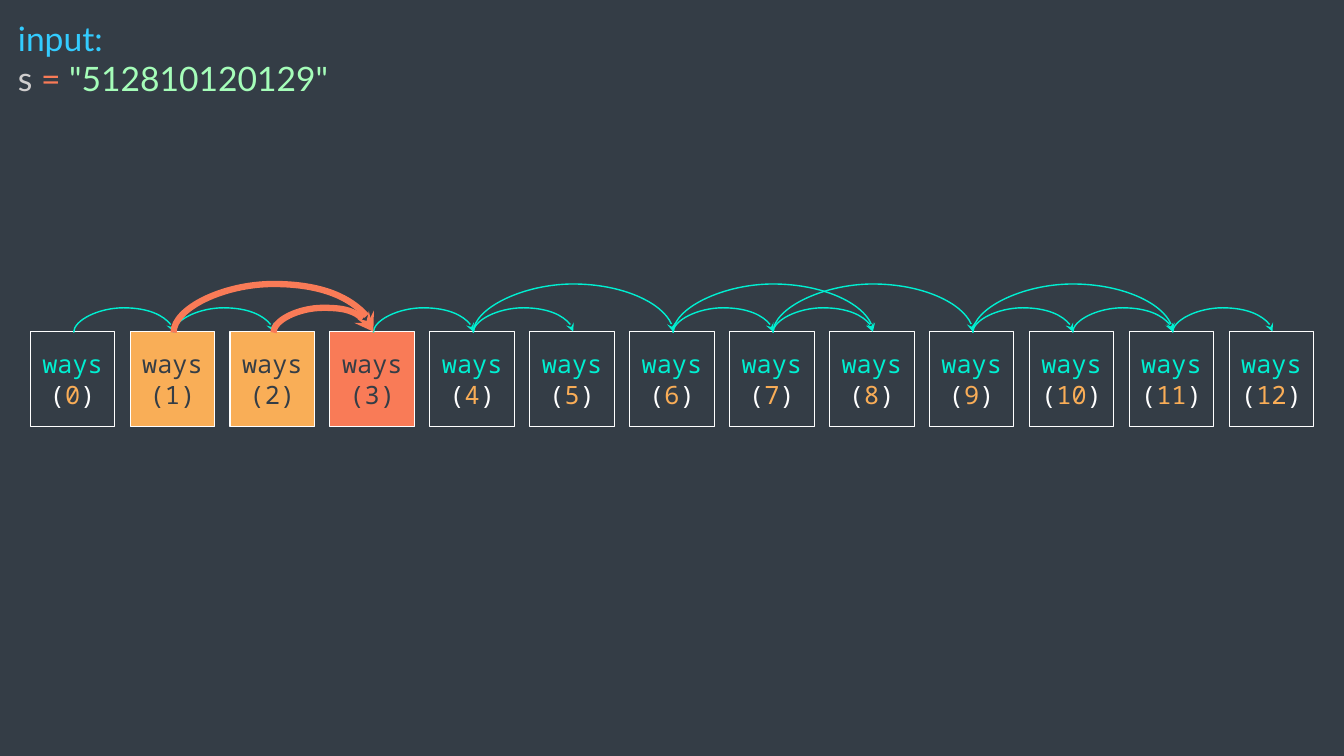
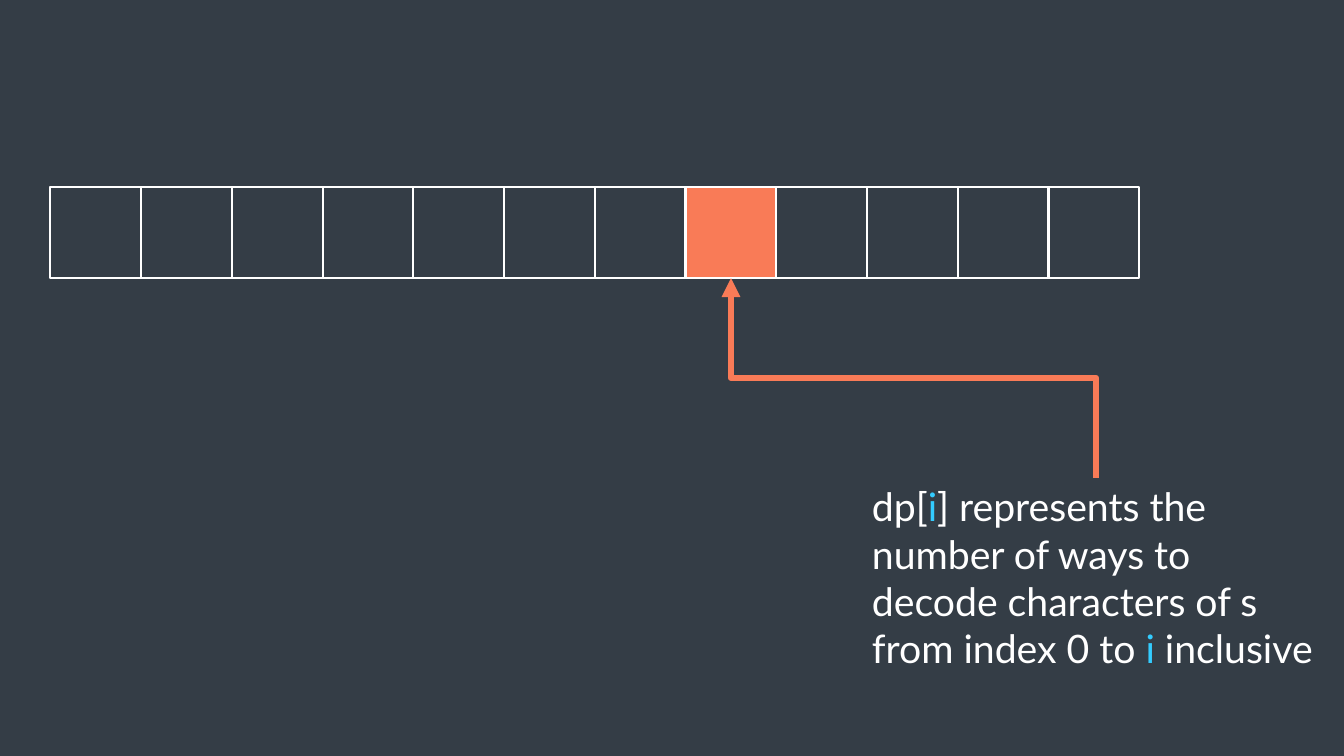
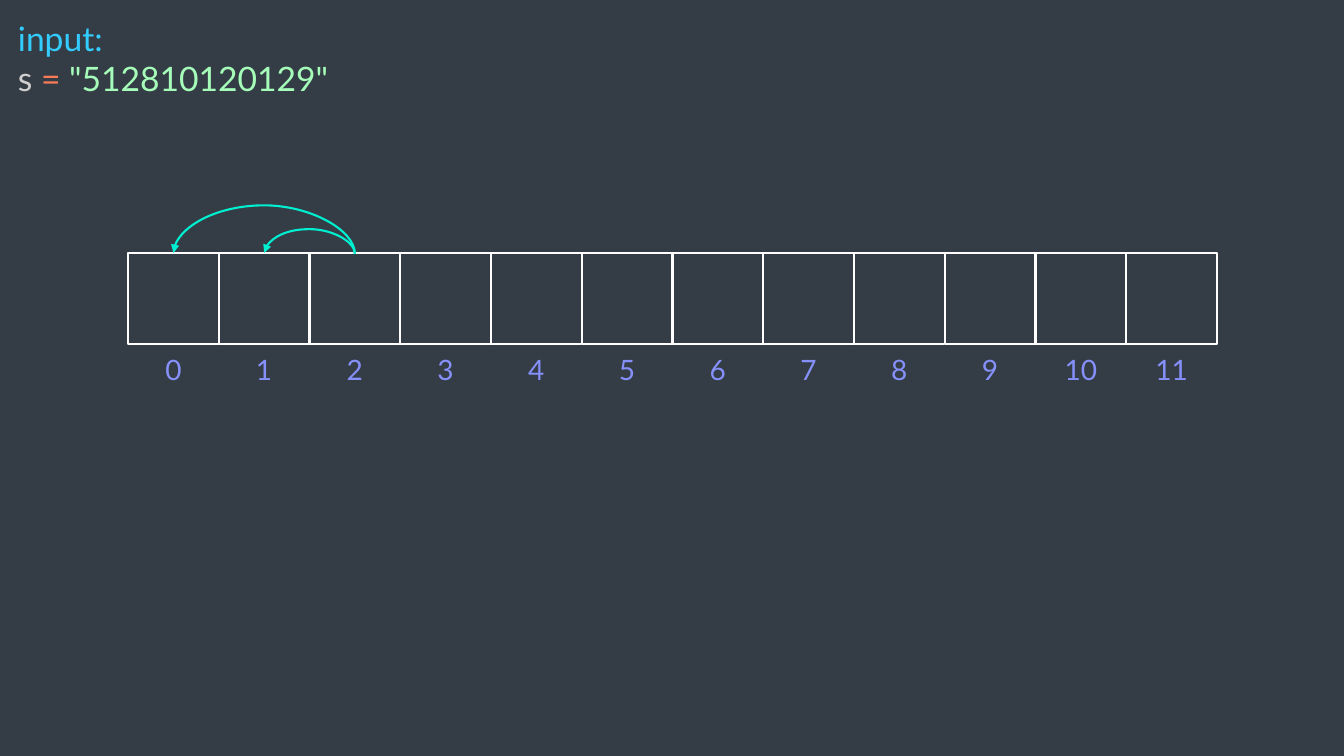
from lxml.etree import SubElement
from pptx import Presentation
from pptx.dml.color import RGBColor
from pptx.enum.shapes import MSO_CONNECTOR as LINK, MSO_SHAPE as SHAPE
from pptx.enum.text import MSO_ANCHOR as ANCHOR, MSO_AUTO_SIZE as FIT, PP_ALIGN as ALIGN
from pptx.oxml.ns import qn
from pptx.util import Inches, Pt

SLATE = RGBColor(0x34, 0x3D, 0x46)
WHITE = RGBColor(0xFF, 0xFF, 0xFF)
TEAL = RGBColor(0x00, 0xEF, 0xD1)
ORANGE = RGBColor(0xF9, 0x7B, 0x57)
AMBER = RGBColor(0xF9, 0xAE, 0x57)
NUMBER = RGBColor(0xF9, 0xAD, 0x57)
BLUE = RGBColor(0x33, 0xCC, 0xFF)
GREY = RGBColor(0xD0, 0xCE, 0xCE)
GREEN = RGBColor(0xA5, 0xFD, 0xB9)
VIOLET = RGBColor(0x86, 0x90, 0xFA)

TEXT = {"word_wrap": True, "auto_size": FIT.SHAPE_TO_FIT_TEXT}
CENTRED = {"word_wrap": True, "vertical_anchor": ANCHOR.MIDDLE}
TIGHT = CENTRED | dict.fromkeys(
    ("margin_left", "margin_top", "margin_right", "margin_bottom"), 0)
CELL = 0.9   # side of an array cell
CELLS = 12
RISE = 0.01  # height difference between the two ends of an arc


def add_box(slide, at, fill=None, line=0, paras=(), size=24, font="Lato",
            frame=TEXT, align=ALIGN.LEFT):
    """Add a rectangle, or a text box if it has no fill, with coloured runs."""
    box = [Inches(v) for v in at]
    if fill is None:
        sp = slide.shapes.add_textbox(*box)
    else:
        sp = slide.shapes.add_shape(SHAPE.RECTANGLE, *box)
        sp.shadow.inherit = False
        sp.fill.solid()
        sp.fill.fore_color.rgb = fill
        if line:
            sp.line.color.rgb = WHITE
            sp.line.width = Pt(line)
        else:
            sp.line.fill.background()
    tf = sp.text_frame
    for name, value in frame.items():
        setattr(tf, name, value)
    for i, runs in enumerate(paras):
        p = tf.add_paragraph() if i else tf.paragraphs[0]
        p.alignment = align
        for text, color in runs:
            r = p.add_run()
            r.text = text
            for name, value in {"size": Pt(size), "name": font}.items():
                setattr(r.font, name, value)
            r.font.color.rgb = color


def add_arrow(slide, kind, start, end, peak, color, width, head):
    """Add an arrow that leaves upwards, crosses at peak and reaches end."""
    (x1, y1), (x2, y2) = start, end
    cx, cy = (x1 + x2) / 2, (y1 + y2) / 2
    rise, span = y1 - y2, abs(x2 - x1)
    # A quarter turn makes the middle segment horizontal
    side, turn = (1, 90) if x2 > x1 else (-1, 270)
    dx, dy = side * rise / 2, span / 2
    ln = slide.shapes.add_connector(
        kind, *(Inches(v) for v in (cx + dx, cy + dy, cx - dx, cy - dy)))
    ln.line.color.rgb = color
    ln.line.width = Pt(width)
    sp_pr = ln.element.spPr
    sp_pr.find(qn("a:xfrm")).set("rot", str(turn * 60000))
    guides = sp_pr.find(qn("a:prstGeom")).find(qn("a:avLst"))
    SubElement(guides, qn("a:gd"), name="adj1",
               fmla=f"val {round(peak / rise * 100000)}")
    SubElement(sp_pr.find(qn("a:ln")), qn("a:tailEnd"), type=head)
    SubElement(sp_pr, qn("a:effectLst"))


prs = Presentation()
prs.slide_width, prs.slide_height = Inches(13.33), Inches(7.5)
background = prs.slide_master.background.fill
background.solid()
background.fore_color.rgb = SLATE
calls, meaning, lookback = [
    prs.slides.add_slide(prs.slide_layouts[6]) for _ in range(3)]

for s in (calls, lookback):
    add_box(s, (0.08, 0.13, 5.96, 0.91), paras=[
        [("input: ", BLUE)],
        [("s ", GREY), ("= ", ORANGE), ('"512810120129"', GREEN)]])

# Slide 1: calls and the earlier results they use
step = (12.19 - 0.3) / CELLS
highlights = {1: AMBER, 2: AMBER, 3: ORANGE}
for i in range(CELLS + 1):
    if i in highlights:
        paras = [[("ways", SLATE)], [(f"({i})", SLATE)]]
    else:
        paras = [[("ways", TEAL)],
                 [("(", WHITE), (str(i), NUMBER), (")", WHITE)]]
    add_box(calls, (0.3 + i * step, 3.29, 0.84, 0.94), highlights.get(i, SLATE),
            0.75, paras, 18, "Noto Sans Mono", TIGHT, ALIGN.CENTER)

links = [(0, 1), (1, 2), (3, 4), (4, 5), (4, 6), (6, 7), (6, 8), (7, 8), (7, 9),
         (9, 11), (9, 10), (10, 11), (11, 12), (1, 3), (2, 3)]
for a, b in links:
    color, width = (ORANGE, 4.5) if b == 3 else (TEAL, 1)
    add_arrow(calls, LINK.CURVE, (0.73 + a * step, 3.29 + RISE),
              (0.73 + b * step, 3.29), 0.25 if b - a == 1 else 0.49,
              color, width, "stealth")

# Slide 2: what one array cell means
for i in range(CELLS):
    add_box(meaning, (0.5 + i * CELL, 1.86, CELL, CELL),
            ORANGE if i == 7 else SLATE, 1.5)
add_box(meaning, (8.55, 4.74, 4.63, 2.46), size=28, paras=[[
    ("dp[", WHITE), ("i", BLUE),
    ("] represents the number of ways to decode characters of s from index 0 to ",
     WHITE),
    ("i ", BLUE), ("inclusive", WHITE)]])
add_arrow(meaning, LINK.ELBOW, (10.87, 4.74), (7.25, 2.76), 0.99,
          ORANGE, 4.5, "triangle")

# Slide 3: each cell looks back at the two before it
for i in range(CELLS):
    x = 1.27 + i * CELL
    add_box(lookback, (x, 3.39, CELL, 0.55), SLATE, paras=[[(str(i), VIOLET)]],
            size=20, frame=CENTRED, align=ALIGN.CENTER)
    add_box(lookback, (x, 2.51, CELL, CELL), SLATE, 1.5)
for back, peak in ((1, 0.25), (2, 0.49)):
    add_arrow(lookback, LINK.CURVE, (3.52, 2.51 + RISE), (3.52 - back * CELL, 2.51),
              peak, TEAL, 1.5, "triangle")

prs.save("out.pptx")
